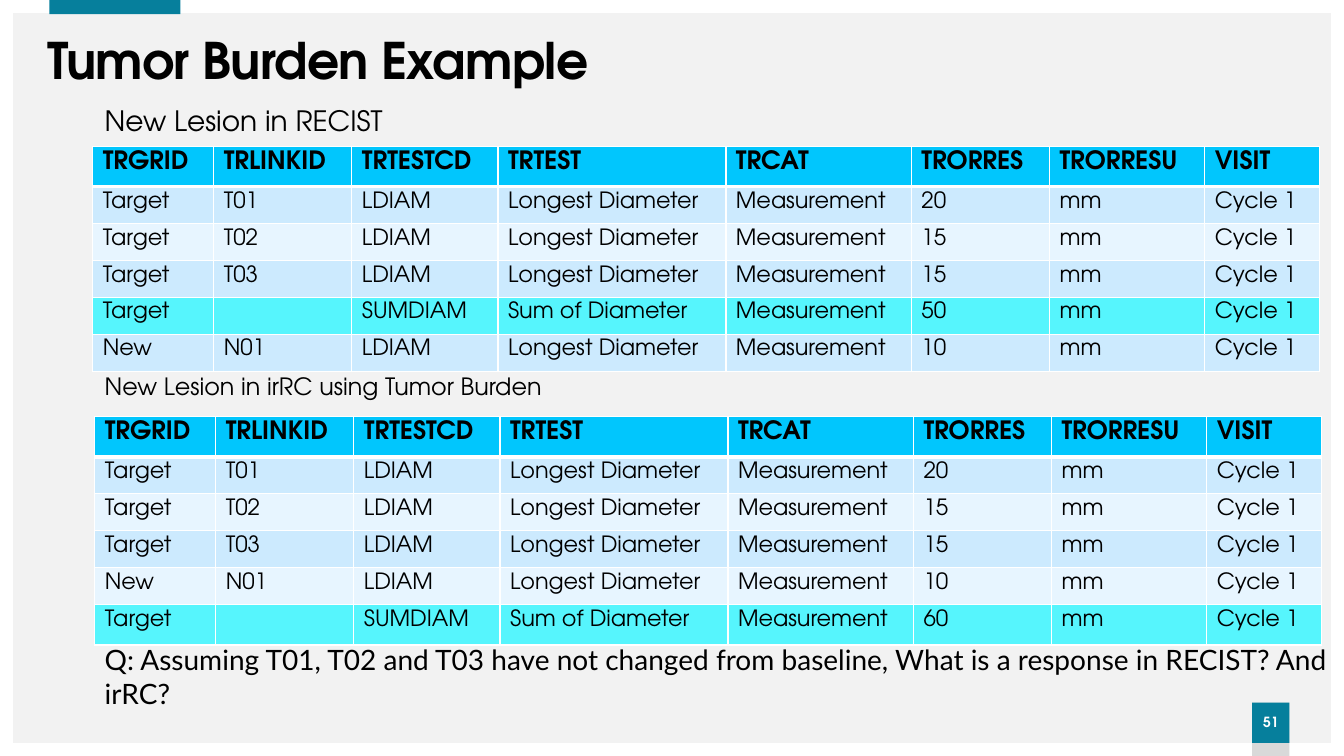
from lxml.etree import SubElement
from pptx import Presentation
from pptx.dml.color import RGBColor
from pptx.enum.shapes import MSO_SHAPE
from pptx.enum.text import MSO_ANCHOR, MSO_AUTO_SIZE, PP_ALIGN
from pptx.oxml.ns import qn
from pptx.util import Inches, Pt

BLACK = RGBColor(0x00, 0x00, 0x00)
WHITE = RGBColor(0xFF, 0xFF, 0xFF)
BACKGROUND = RGBColor(0xF2, 0xF2, 0xF2)
TEAL = RGBColor(0x06, 0x7F, 0x9C)
GREY = RGBColor(0xD9, 0xD9, 0xD9)
HEADER_BLUE = RGBColor(0x01, 0xC6, 0xFD)
BAND_DARK = RGBColor(0xCC, 0xEA, 0xFE)
BAND_LIGHT = RGBColor(0xE7, 0xF5, 0xFF)
SUM_CYAN = RGBColor(0x56, 0xF5, 0xFD)
ADVENTOR = "TeX Gyre Adventor"


def write(frame, text, size=16, font=ADVENTOR, color=BLACK, bold=False,
          align=PP_ALIGN.LEFT, line=1.0, before=0, tracking=0):
    paragraph = frame.paragraphs[0]
    paragraph.alignment = align
    paragraph.line_spacing = line
    paragraph.space_before = Pt(before)
    if not text:
        ending = SubElement(paragraph._p, qn("a:endParaRPr"), sz=str(size * 100))
        SubElement(ending, qn("a:latin"), typeface=font)
        return
    run = paragraph.add_run()
    run.text = text
    run.font.size = Pt(size)
    run.font.name = font
    run.font.bold = bold
    run.font.color.rgb = color
    if tracking:
        run._r.rPr.set("spc", str(round(tracking * 100)))


def add_borders(cell, bottom):
    properties = cell._tc.get_or_add_tcPr()
    for side, points in (("lnL", 1), ("lnR", 1), ("lnT", 1), ("lnB", bottom)):
        border = SubElement(properties, qn(f"a:{side}"), w=str(Pt(points)))
        fill = SubElement(border, qn("a:solidFill"))
        SubElement(fill, qn("a:srgbClr"), val=str(WHITE))


prs = Presentation()
prs.slide_width = Inches(13.33)
prs.slide_height = Inches(7.5)
slide = prs.slides.add_slide(prs.slide_layouts[5])
slide.background.fill.solid()
slide.background.fill.fore_color.rgb = BACKGROUND

for preset, left, top, width, height, color, label in (
    (MSO_SHAPE.FRAME, 0, 0, 13.33, 7.5, WHITE, ""),
    (MSO_SHAPE.RECTANGLE, 0.49, 0, 1.3, 0.14, TEAL, ""),
    (MSO_SHAPE.RECTANGLE, 12.42, 6.97, 0.37, 0.53, GREY, ""),
    (MSO_SHAPE.RECTANGLE, 12.42, 6.97, 0.37, 0.4, TEAL, "51"),
):
    decoration = slide.shapes.add_shape(
        preset, Inches(left), Inches(top), Inches(width), Inches(height))
    decoration.shadow.inherit = False
    decoration.fill.solid()
    decoration.fill.fore_color.rgb = color
    decoration.line.fill.background()
    if preset == MSO_SHAPE.FRAME:
        decoration.adjustments[0] = 0.017
    if label:
        page_number = decoration.text_frame
        page_number.margin_left = page_number.margin_right = 0
        page_number.vertical_anchor = MSO_ANCHOR.MIDDLE
        write(page_number, label, size=10, color=WHITE, bold=True,
              align=PP_ALIGN.CENTER, line=0.9, before=10)

title = slide.shapes.title
title.left, title.top = Inches(0.37), Inches(0.3)
title.width, title.height = Inches(12.22), Inches(0.65)
title.text_frame.auto_size = MSO_AUTO_SIZE.NONE
title.text_frame.vertical_anchor = MSO_ANCHOR.MIDDLE
write(title.text_frame, "Tumor Burden Example", size=36, bold=True,
      line=0.9, tracking=-0.6)

for text, top, width, height, size, font, line in (
    ("New Lesion in RECIST", 1.02, 4.5, 0.52, 20, ADVENTOR, 0.9),
    ("New Lesion in irRC using Tumor Burden", 3.69, 4.81, 0.52, 17, ADVENTOR, 0.8),
    ("Q: Assuming T01, T02 and T03 have not changed from baseline, "
     "What is a response in RECIST? And irRC?", 6.33, 12.56, 0.54, 20, "Lato", 1.0),
):
    caption = slide.shapes.add_textbox(
        Inches(0.94), Inches(top), Inches(width), Inches(height)).text_frame
    caption.word_wrap = True
    write(caption, text, size=size, font=font, line=line, before=10)

headings = ("TRGRID", "TRLINKID", "TRTESTCD", "TRTEST", "TRCAT", "TRORRES",
            "TRORRESU", "VISIT")
column_widths = (1.2, 1.37, 1.45, 2.26, 1.84, 1.37, 1.54, 1.14)
targets = [("Target", "T01", "20"), ("Target", "T02", "15"), ("Target", "T03", "15")]
new_lesion = ("New", "N01", "10")

for left, top, last_height, lesions in (
    (0.92, 1.45, 0.3, targets + [("Target", "", "50"), new_lesion]),
    (0.94, 4.13, 0.4, targets + [new_lesion, ("Target", "", "60")]),
):
    row_heights = [0.4] + [0.3] * 4 + [last_height]
    table = slide.shapes.add_table(
        len(row_heights), len(headings), Inches(left), Inches(top),
        Inches(sum(column_widths)), Inches(sum(row_heights))).table
    for column, width in zip(table.columns, column_widths):
        column.width = Inches(width)
    for row, height in zip(table.rows, row_heights):
        row.height = Inches(height)

    records = [headings]
    fills = [HEADER_BLUE]
    for index, (group, link, result) in enumerate(lesions):
        code, test = (("LDIAM", "Longest Diameter") if link
                      else ("SUMDIAM", "Sum of Diameter"))
        records.append((group, link, code, test, "Measurement", result, "mm", "Cycle 1"))
        band = BAND_LIGHT if index % 2 else BAND_DARK
        fills.append(band if link else SUM_CYAN)

    for row_index, (record, color) in enumerate(zip(records, fills)):
        is_header = row_index == 0
        for column_index, value in enumerate(record):
            cell = table.cell(row_index, column_index)
            cell.margin_top = cell.margin_bottom = Inches(0.05)
            add_borders(cell, bottom=3 if is_header else 1)
            cell.fill.solid()
            cell.fill.fore_color.rgb = color
            write(cell.text_frame, value, size=18 if is_header else 16, bold=is_header)

prs.save("out.pptx")
